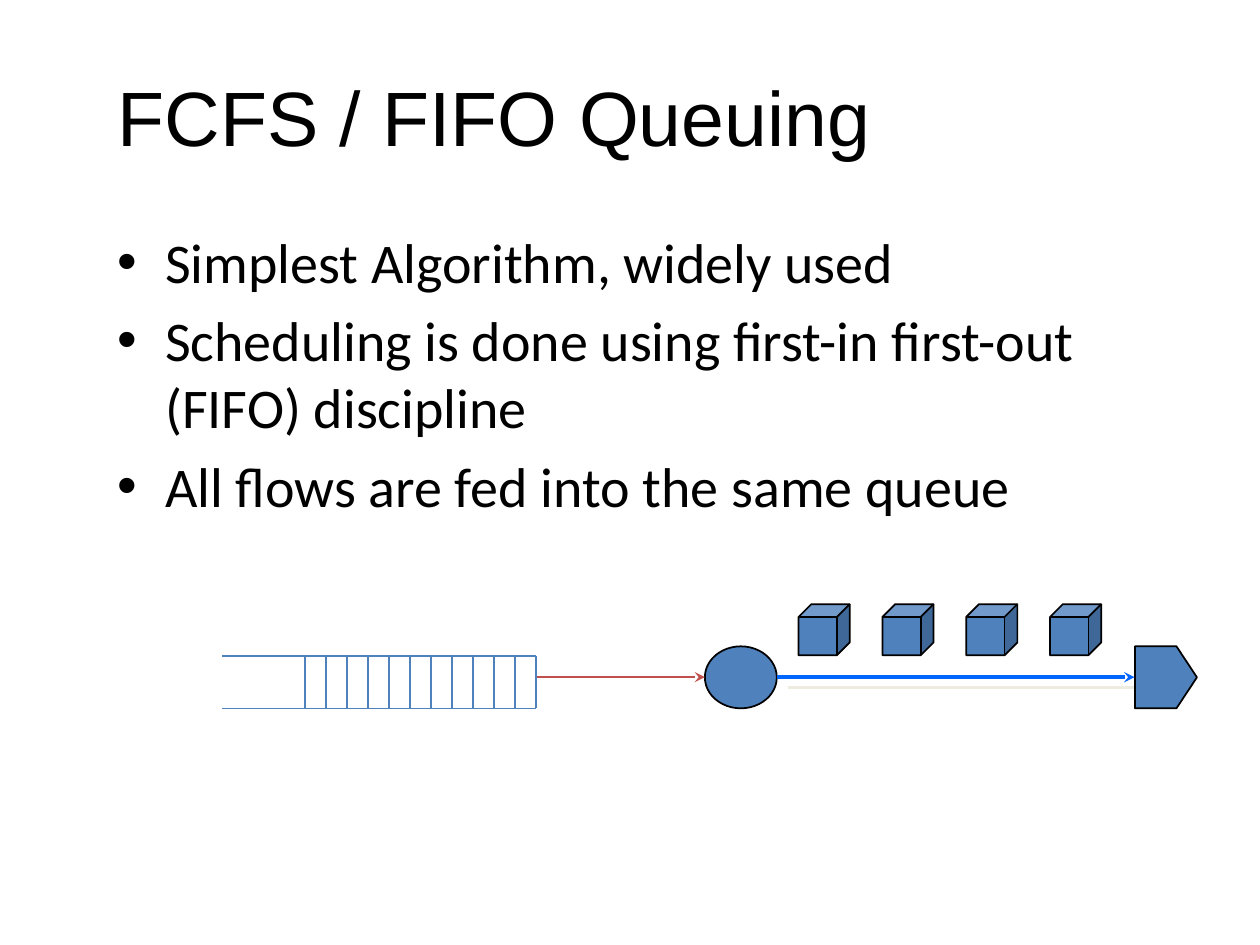
from lxml import etree
from pptx import Presentation
from pptx.dml.color import RGBColor
from pptx.enum.shapes import MSO_CONNECTOR, MSO_SHAPE
from pptx.enum.text import MSO_ANCHOR, MSO_AUTO_SIZE, PP_ALIGN
from pptx.oxml import parse_xml
from pptx.oxml.ns import nsdecls, qn
from pptx.util import Cm, Pt

BLACK = RGBColor(0x00, 0x00, 0x00)
BLUE = RGBColor(0x4F, 0x81, 0xBD)
RED = RGBColor(0xC0, 0x50, 0x4D)
BRIGHT_BLUE = RGBColor(0x00, 0x66, 0xFF)

presentation = Presentation()
presentation.slide_width = Cm(25.4)
presentation.slide_height = Cm(19.05)
slide = presentation.slides.add_slide(presentation.slide_layouts[1])


def add_line(x1, y1, x2, y2, color, width=1, arrow=False):
    line = slide.shapes.add_connector(
        MSO_CONNECTOR.STRAIGHT, Cm(x1), Cm(y1), Cm(x2), Cm(y2))
    line.line.color.rgb = color
    line.line.width = Pt(width)
    if arrow:
        tail = etree.SubElement(line.line._get_or_add_ln(), qn("a:tailEnd"))
        tail.set("type", "stealth")
    etree.SubElement(line._element.spPr, qn("a:effectLst"))
    return line


def add_node(kind, left, top, width, height):
    shape = slide.shapes.add_shape(kind, Cm(left), Cm(top), Cm(width), Cm(height))
    shape.shadow.inherit = False
    shape.fill.solid()
    shape.fill.fore_color.rgb = BLUE
    shape.line.color.rgb = BLACK
    shape.line.width = Pt(1)
    return shape


# Title
title = slide.shapes.title
title.left, title.top, title.width, title.height = Cm(2.12), Cm(0.74), Cm(22.42), Cm(3.18)
title.text_frame.vertical_anchor = MSO_ANCHOR.MIDDLE
title.text_frame.auto_size = MSO_AUTO_SIZE.NONE
paragraph = title.text_frame.paragraphs[0]
paragraph.alignment = PP_ALIGN.LEFT
run = paragraph.add_run()
run.text = "FCFS / FIFO Queuing"
run.font.name = "Arial"
run.font.size = Pt(44)
run.font.color.rgb = BLACK

# Bullet list; bullets, indents and spacing come from the template
body = slide.placeholders[1]
body.left, body.top, body.width, body.height = Cm(2.12), Cm(4.45), Cm(22.42), Cm(6.5)
body.text_frame.auto_size = MSO_AUTO_SIZE.NONE
bullets = [
    "Simplest Algorithm, widely used",
    "Scheduling is done using first-in first-out (FIFO) discipline",
    "All flows are fed into the same queue",
]
for index, text in enumerate(bullets):
    frame = body.text_frame
    paragraph = frame.add_paragraph() if index else frame.paragraphs[0]
    run = paragraph.add_run()
    run.text = text
    run.font.name = "Calibri"
    run.font.size = Pt(32)
    run.font.color.rgb = BLACK

# Queue: rails in two halves, then evenly spaced cell walls
QUEUE_LEFT, QUEUE_MIDDLE, QUEUE_RIGHT = 4.48, 7.64, 10.8
QUEUE_TOP, QUEUE_BOTTOM = 13.22, 14.28
for start, end in ((QUEUE_LEFT, QUEUE_MIDDLE), (QUEUE_MIDDLE, QUEUE_RIGHT)):
    for y in (QUEUE_TOP, QUEUE_BOTTOM):
        add_line(start, y, end, y, BLUE)

CELL_COUNT, FIRST_WALL = 11, 6.15
cell_width = (QUEUE_RIGHT - FIRST_WALL) / CELL_COUNT
for index in range(CELL_COUNT + 1):
    x = FIRST_WALL + index * cell_width
    add_line(x, QUEUE_TOP, x, QUEUE_BOTTOM, BLUE)

# Server and its input and output arrows
FLOW_Y, NODE_TOP, NODE_HEIGHT = 13.65, 13.03, 1.25
add_node(MSO_SHAPE.OVAL, 14.21, NODE_TOP, 1.45, NODE_HEIGHT)
add_line(10.82, FLOW_Y, 14.21, FLOW_Y, RED, arrow=True)
output = add_line(15.67, FLOW_Y, 22.87, FLOW_Y, BRIGHT_BLUE, width=2, arrow=True)
output._element.spPr.find(qn("a:effectLst")).append(parse_xml(
    f'<a:outerShdw {nsdecls("a")} dist="107950" dir="2700000" algn="ctr" rotWithShape="0">'
    '<a:srgbClr val="EEECE1"/></a:outerShdw>'))

# Packets on the output link
for index in range(4):
    packet = add_node(MSO_SHAPE.CUBE, 16.1 + index * 1.69, 12.18, 1.03, 1.03)
    packet.adjustments[0] = 0.25

# Receiver
receiver = add_node(MSO_SHAPE.PENTAGON, 22.88, NODE_TOP, 1.25, NODE_HEIGHT)
receiver.adjustments[0] = 0.33

presentation.save("out.pptx")
